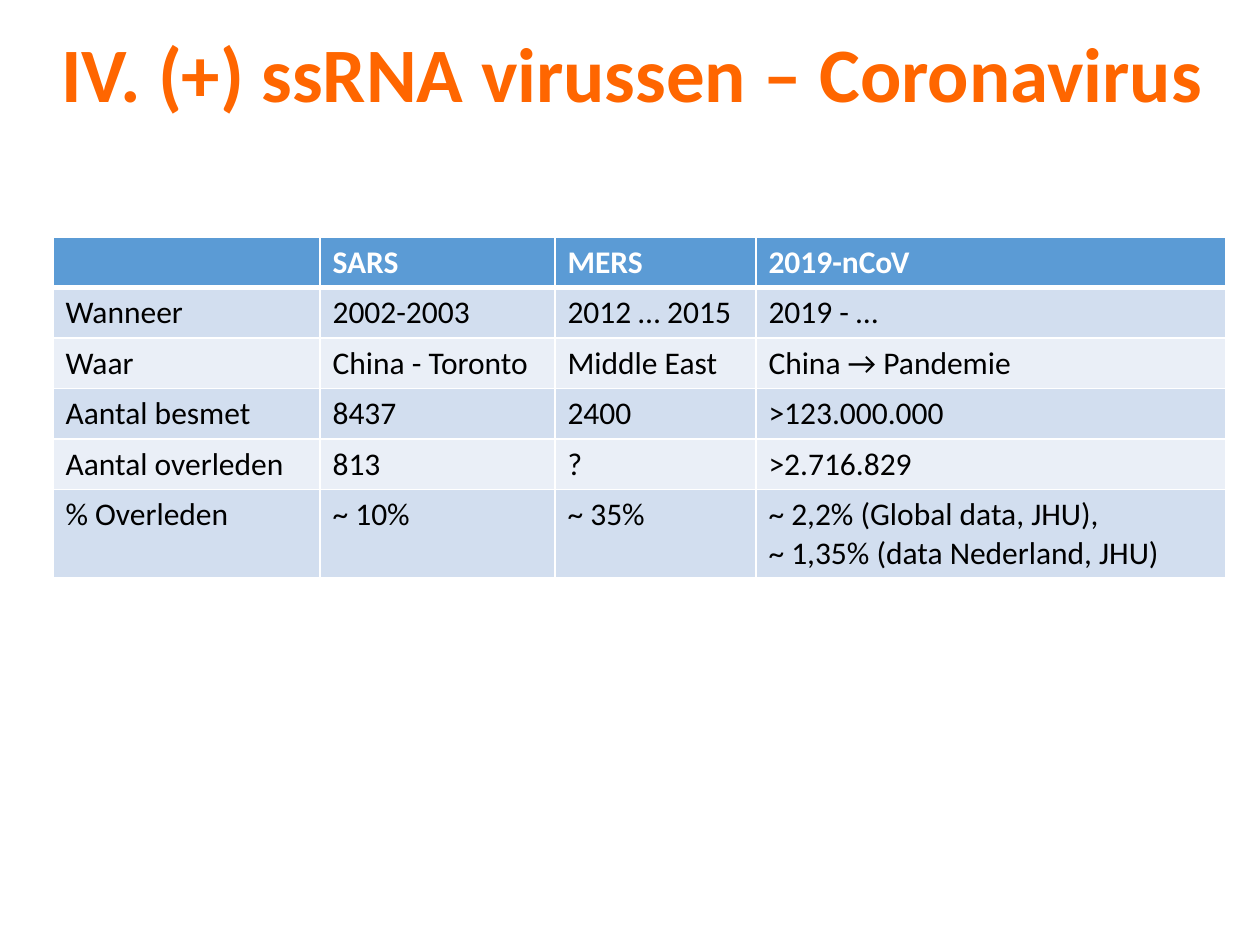
"""Build a slide with a table comparing SARS, MERS and 2019-nCoV."""
import pptx
import pptx.dml.color
import pptx.enum.text
import pptx.oxml
import pptx.oxml.ns
import pptx.util

PX = 914400 // 126
BORDER = ('<a:{side} {ns} w="{width}"><a:solidFill><a:srgbClr val="FFFFFF"/>'
          '</a:solidFill></a:{side}>')


def rgb(value):
    return pptx.dml.color.RGBColor.from_string(value)


def style(tf, size, color, bold):
    for p in tf.paragraphs:
        for r in p.runs:
            r.font.name = "Calibri"
            r.font.size = pptx.util.Pt(size)
            r.font.bold = bold
            r.font.color.rgb = rgb(color)


prs = pptx.Presentation()
prs.slide_width = 1260 * PX
prs.slide_height = 945 * PX
s = prs.slides.add_slide(prs.slide_layouts[6])

title = s.shapes.add_textbox(49 * PX, 19 * PX, 1182 * PX, 98 * PX)
tf = title.text_frame
tf.word_wrap = True
tf.vertical_anchor = pptx.enum.text.MSO_ANCHOR.TOP
tf.text = "IV. (+) ssRNA virussen – Coronavirus"
style(tf, 44, "FF6600", True)

rows = [
    ["", "SARS", "MERS", "2019-nCoV"],
    ["Wanneer", "2002-2003", "2012 … 2015", "2019 - …"],
    ["Waar", "China - Toronto", "Middle East", "China → Pandemie"],
    ["Aantal besmet", "8437", "2400", ">123.000.000"],
    ["Aantal overleden", "813", "?", ">2.716.829"],
    ["% Overleden", "~ 10%", "~ 35%",
     "~ 2,2% (Global data, JHU),\n~ 1,35% (data Nederland, JHU)"],
]
widths = [267, 235, 201, 470]
heights = [49] * 5 + [67]
table = s.shapes.add_table(len(rows), len(widths), 53 * PX, 237 * PX,
                           sum(widths) * PX, sum(heights) * PX).table
for column, width in zip(table.columns, widths):
    column.width = width * PX
for row, height in zip(table.rows, heights):
    row.height = height * PX

for i, texts in enumerate(rows):
    header = i == 0
    fill = "5B9BD5" if header else ("EAEFF7", "D2DEEF")[i % 2]
    for j, text in enumerate(texts):
        cell = table.cell(i, j)
        cell.text_frame.text = text
        style(cell.text_frame, 18, "FFFFFF" if header else "000000", header)
        tcPr = cell._tc.get_or_add_tcPr()
        for side in ("lnL", "lnR", "lnT", "lnB"):
            thick = (i, side) in ((0, "lnB"), (1, "lnT"))
            tcPr.append(pptx.oxml.parse_xml(BORDER.format(
                side=side, ns=pptx.oxml.ns.nsdecls("a"),
                width=pptx.util.Pt(3 if thick else 1))))
        cell.fill.solid()
        cell.fill.fore_color.rgb = rgb(fill)

prs.save("out.pptx")
